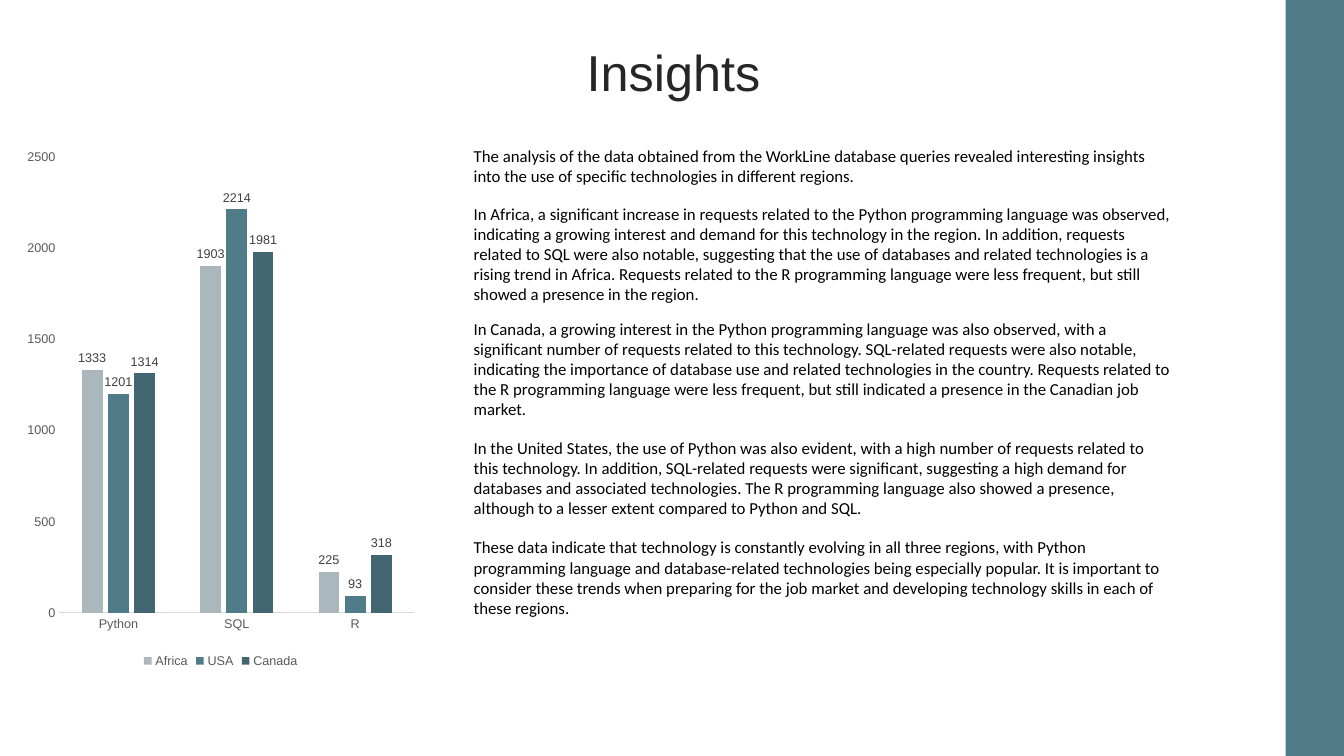
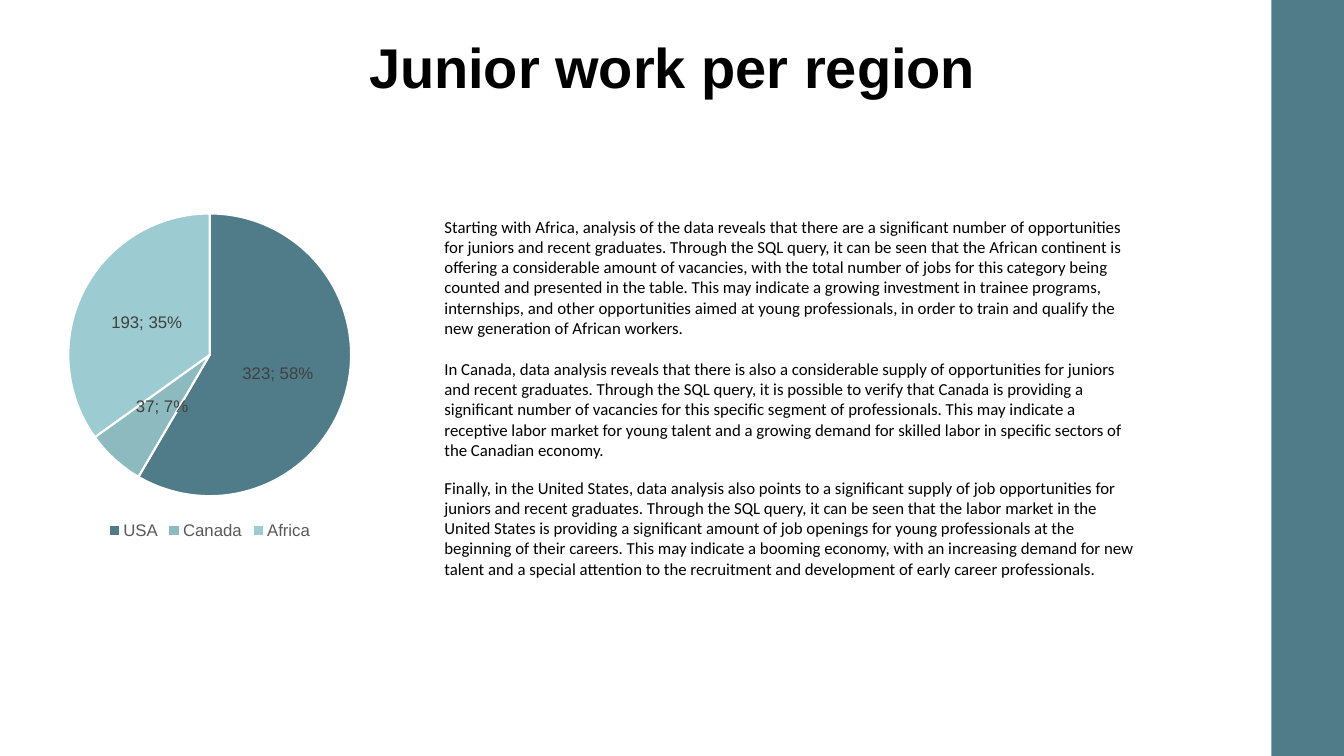
from pptx import Presentation
from pptx.chart.data import CategoryChartData
from pptx.dml.color import RGBColor
from pptx.enum.chart import (XL_CHART_TYPE, XL_LABEL_POSITION,
                             XL_LEGEND_POSITION, XL_TICK_MARK)
from pptx.enum.shapes import MSO_SHAPE
from pptx.enum.text import MSO_ANCHOR, MSO_AUTO_SIZE, PP_ALIGN
from pptx.oxml.ns import qn
from pptx.oxml.xmlchemy import OxmlElement
from pptx.util import Pt

COLUMN, PIE = XL_CHART_TYPE.COLUMN_CLUSTERED, XL_CHART_TYPE.PIE
OUTSIDE, MIDDLE = XL_LABEL_POSITION.OUTSIDE_END, XL_LABEL_POSITION.CENTER
BOTTOM, NO_TICK = XL_LEGEND_POSITION.BOTTOM, XL_TICK_MARK.NONE
RECT, ANCHOR, FIXED = MSO_SHAPE.RECTANGLE, MSO_ANCHOR.MIDDLE, MSO_AUTO_SIZE.NONE
LEFT, CENTER = PP_ALIGN.LEFT, PP_ALIGN.CENTER

# Shared scale (100 px to the inch), colours and type
PX = 9144
WIDTH, HEIGHT = 1333, 750
COLORS = {"teal": "507C89", "grey": "AAB8BE", "deep": "426772",
          "sage": "8CBABE", "aqua": "9CCCD2", "rule": "D9D9D9",
          "ink": "262626", "black": "000000", "axis": "595959",
          "label": "404040", "white": "FFFFFF"}
BODY = {"name": "Calibri", "size": Pt(12), "color": "black"}
HEAD = {"name": "Arial", "size": Pt(36), "color": "ink", "bold": False}
STRONG = {**HEAD, "size": Pt(40), "color": "black", "bold": True}
TEXT_WIDTH = 713

# Slide content: top, height and wording of each text
INSIGHTS = [
    (140, 50, "The analysis of the data obtained from the WorkLine database queries revealed interesting insights into the use of specific technologies in different regions."),
    (197, 111, "In Africa, a significant increase in requests related to the Python programming language was observed, indicating a growing interest and demand for this technology in the region. In addition, requests related to SQL were also notable, suggesting that the use of databases and related technologies is a rising trend in Africa. Requests related to the R programming language were less frequent, but still showed a presence in the region."),
    (311, 111, "In Canada, a growing interest in the Python programming language was also observed, with a significant number of requests related to this technology. SQL-related requests were also notable, indicating the importance of database use and related technologies in the country. Requests related to the R programming language were less frequent, but still indicated a presence in the Canadian job market."),
    (429, 91, "In the United States, the use of Python was also evident, with a high number of requests related to this technology. In addition, SQL-related requests were significant, suggesting a high demand for databases and associated technologies. The R programming language also showed a presence, although to a lesser extent compared to Python and SQL."),
    (528, 91, "These data indicate that technology is constantly evolving in all three regions, with Python programming language and database-related technologies being especially popular. It is important to consider these trends when preparing for the job market and developing technology skills in each of these regions."),
]
JUNIORS = [
    (210, 131, "Starting with Africa, analysis of the data reveals that there are a significant number of opportunities for juniors and recent graduates. Through the SQL query, it can be seen that the African continent is offering a considerable amount of vacancies, with the total number of jobs for this category being counted and presented in the table. This may indicate a growing investment in trainee programs, internships, and other opportunities aimed at young professionals, in order to train and qualify the new generation of African workers."),
    (351, 111, "In Canada, data analysis reveals that there is also a considerable supply of opportunities for juniors and recent graduates. Through the SQL query, it is possible to verify that Canada is providing a significant number of vacancies for this specific segment of professionals. This may indicate a receptive labor market for young talent and a growing demand for skilled labor in specific sectors of the Canadian economy."),
    (469, 111, "Finally, in the United States, data analysis also points to a significant supply of job opportunities for juniors and recent graduates. Through the SQL query, it can be seen that the labor market in the United States is providing a significant amount of job openings for young professionals at the beginning of their careers. This may indicate a booming economy, with an increasing demand for new talent and a special attention to the recruitment and development of early career professionals."),
]
REQUESTS = {"Africa": ([1333, 1903, 225], "grey"),
            "USA": ([1201, 2214, 93], "teal"),
            "Canada": ([1314, 1981, 318], "deep")}
JOBS = {"USA": (323, "teal"), "Canada": (37, "sage"), "Africa": (193, "aqua")}


def rgb(name):
    return RGBColor.from_string(COLORS[name])


def scale(*box):
    return [v * PX for v in box]


def style(font, form):
    for key, value in form.items():
        if key == "color":
            font.color.rgb = rgb(value)
        else:
            setattr(font, key, value)


def paint(fill, name):
    fill.solid()
    fill.fore_color.rgb = rgb(name)


# Slide parts
def add_page(deck, title, box, form, align, band):
    slide = deck.slides.add_slide(deck.slide_layouts[5])
    head = slide.shapes.title
    head.left, head.top, head.width, head.height = scale(*box)
    frame = head.text_frame
    frame.text = title
    frame.word_wrap, frame.auto_size = True, FIXED
    frame.vertical_anchor = ANCHOR
    para = frame.paragraphs[0]
    para.alignment = align
    style(para.runs[0].font, form)
    bar = slide.shapes.add_shape(RECT, *scale(band, 0, WIDTH - band, HEIGHT))
    bar.shadow.inherit = False
    paint(bar.fill, "teal")
    bar.line.fill.background()
    return slide


def add_texts(slide, left, items):
    for top, height, words in items:
        box = slide.shapes.add_textbox(*scale(left, top, TEXT_WIDTH, height))
        frame = box.text_frame
        frame.word_wrap = True
        frame.text = words
        style(frame.paragraphs[0].runs[0].font, BODY)


# Charts
def add_graph(slide, kind, box, cats, rows, size):
    data = CategoryChartData()
    data.categories = cats
    for name, vals in rows:
        data.add_series(name, vals)
    chart = slide.shapes.add_chart(kind, *scale(*box), data).chart
    chart.has_title = False
    style(chart.font, {"name": "Arial", "size": Pt(10), "color": "black"})
    chart.has_legend = True
    chart.legend.position = BOTTOM
    chart.legend.include_in_layout = False
    style(chart.legend.font, {"name": "Arial", "size": Pt(size), "color": "axis"})
    return chart


def add_labels(series, size, place):
    labels = series.data_labels
    labels.show_value = True
    labels.position = place
    style(labels.font, {"name": "Arial", "size": Pt(size), "color": "label"})
    return labels


def add_bars(slide, box):
    rows = [(name, vals) for name, (vals, _) in REQUESTS.items()]
    chart = add_graph(slide, COLUMN, box, ["Python", "SQL", "R"], rows, 9)
    plot = chart.plots[0]
    plot.gap_width, plot.overlap, plot.vary_by_categories = 219, -27, False
    for series in plot.series:
        paint(series.format.fill, REQUESTS[series.name][1])
        add_labels(series, 9, OUTSIDE)
    for axis in (chart.category_axis, chart.value_axis):
        axis.major_tick_mark = axis.minor_tick_mark = NO_TICK
        axis.has_major_gridlines = False
        style(axis.tick_labels.font,
              {"name": "Arial", "size": Pt(9), "color": "axis"})
    line = chart.category_axis.format.line
    line.color.rgb, line.width = rgb("rule"), Pt(0.75)
    chart.value_axis.format.line.fill.background()
    chart.value_axis.maximum_scale = 2500
    chart.value_axis.minimum_scale = 0
    chart.value_axis.major_unit = 500


def add_pie(slide, box):
    vals = [val for val, _ in JOBS.values()]
    chart = add_graph(slide, PIE, box, list(JOBS), [("Series 1", vals)], 12)
    plot = chart.plots[0]
    plot.vary_by_categories = True
    series = plot.series[0]
    for i, (_, color) in enumerate(JOBS.values()):
        form = series.points[i].format
        paint(form.fill, color)
        form.line.color.rgb, form.line.width = rgb("white"), Pt(1.5)
    labels = add_labels(series, 12, MIDDLE)
    labels.show_percentage = True
    gap = OxmlElement("c:separator")
    gap.text = "; "
    labels._element.find(qn("c:showBubbleSize")).addnext(gap)


def main():
    deck = Presentation()
    deck.slide_width, deck.slide_height = scale(WIDTH, HEIGHT)

    # Requests by language
    slide = add_page(deck, "Insights", (35, 31, 1266, 79), HEAD, CENTER, 1275)
    add_texts(slide, 460, INSIGHTS)
    add_bars(slide, (19, 138, 400, 529))

    # Junior jobs by region
    slide = add_page(deck, "Junior work per region", (356, 27, 630, 77),
                     STRONG, LEFT, 1261)
    add_pie(slide, (-16, 198, 448, 341))
    add_texts(slide, 431, JUNIORS)

    deck.save("out.pptx")


if __name__ == "__main__":
    main()
